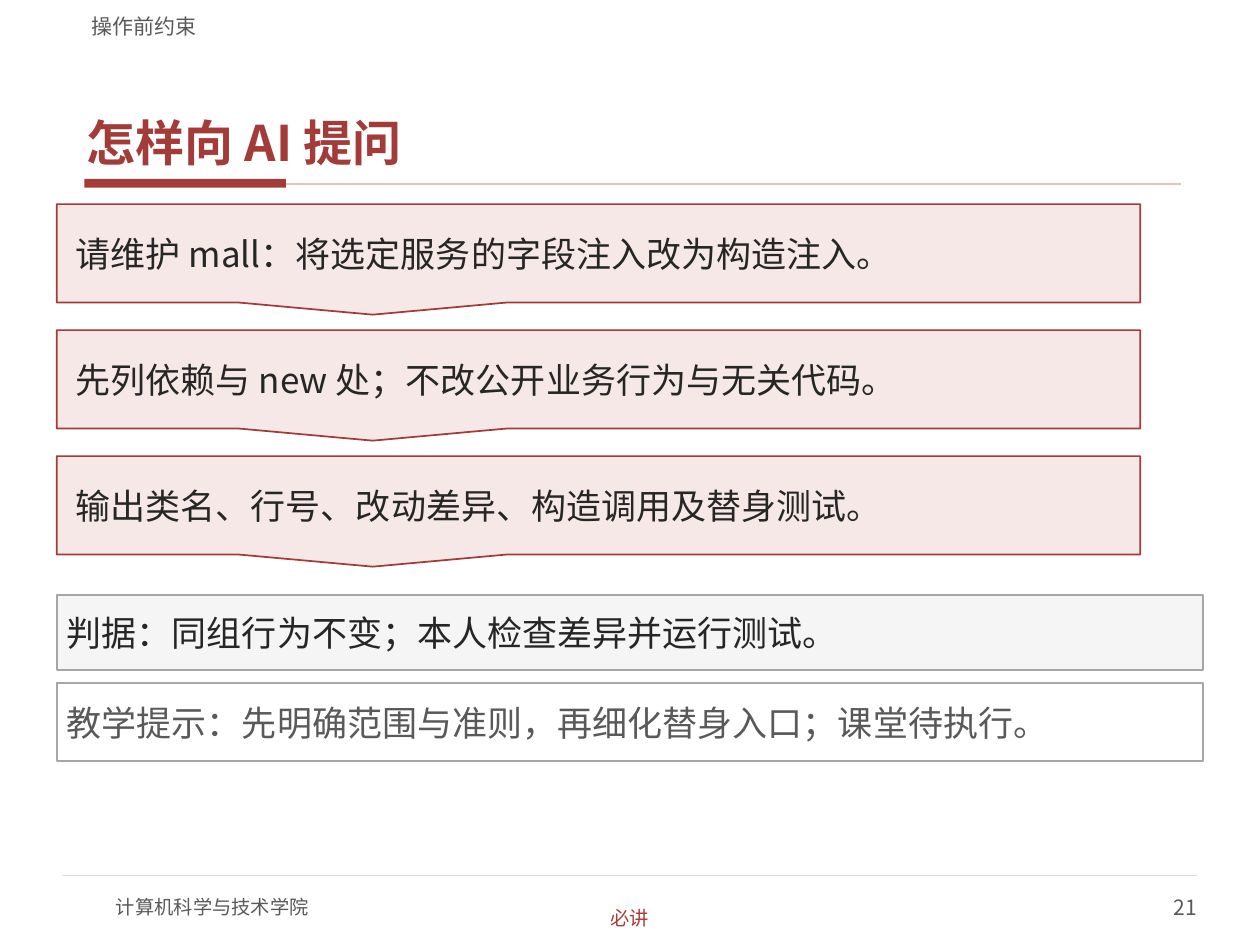
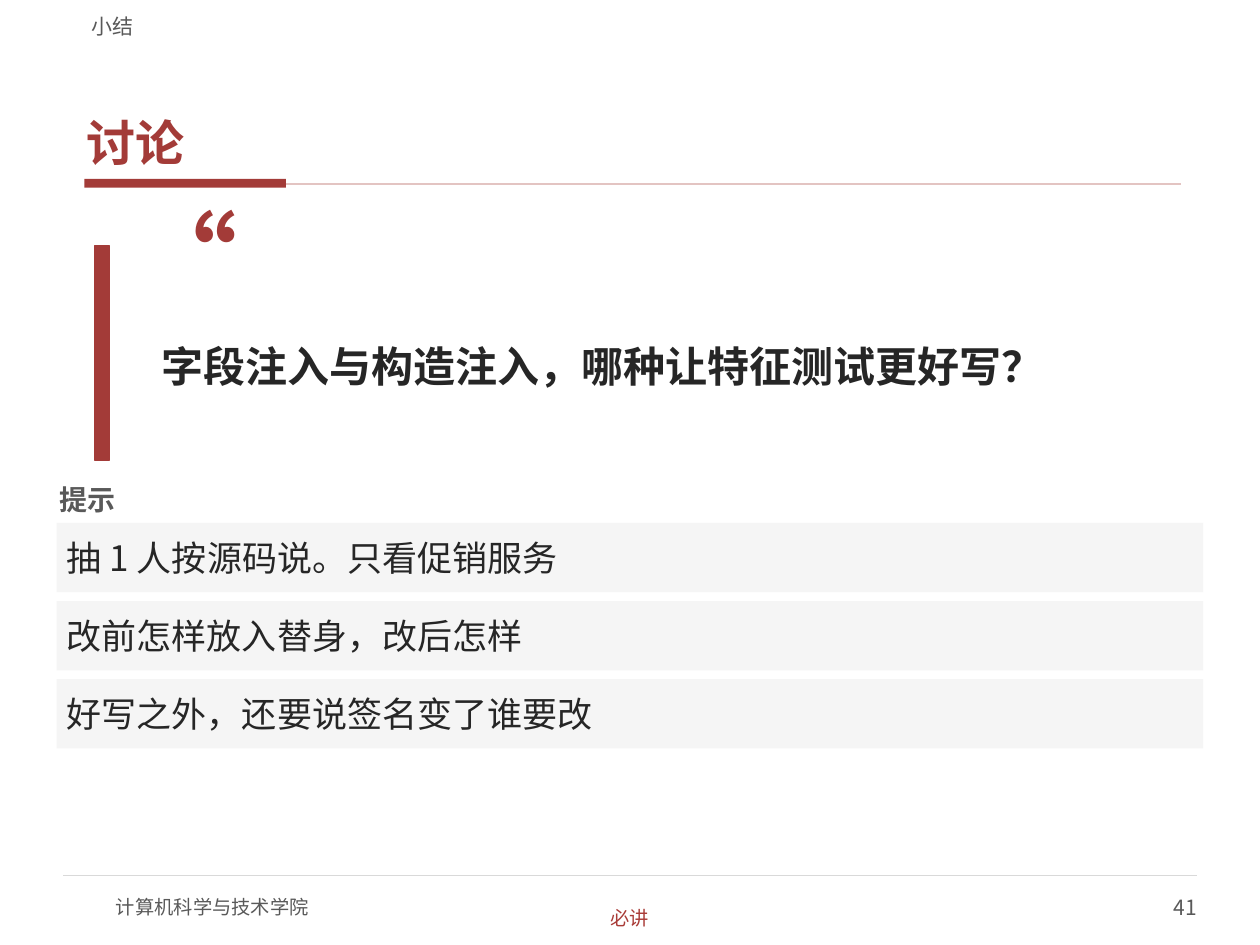
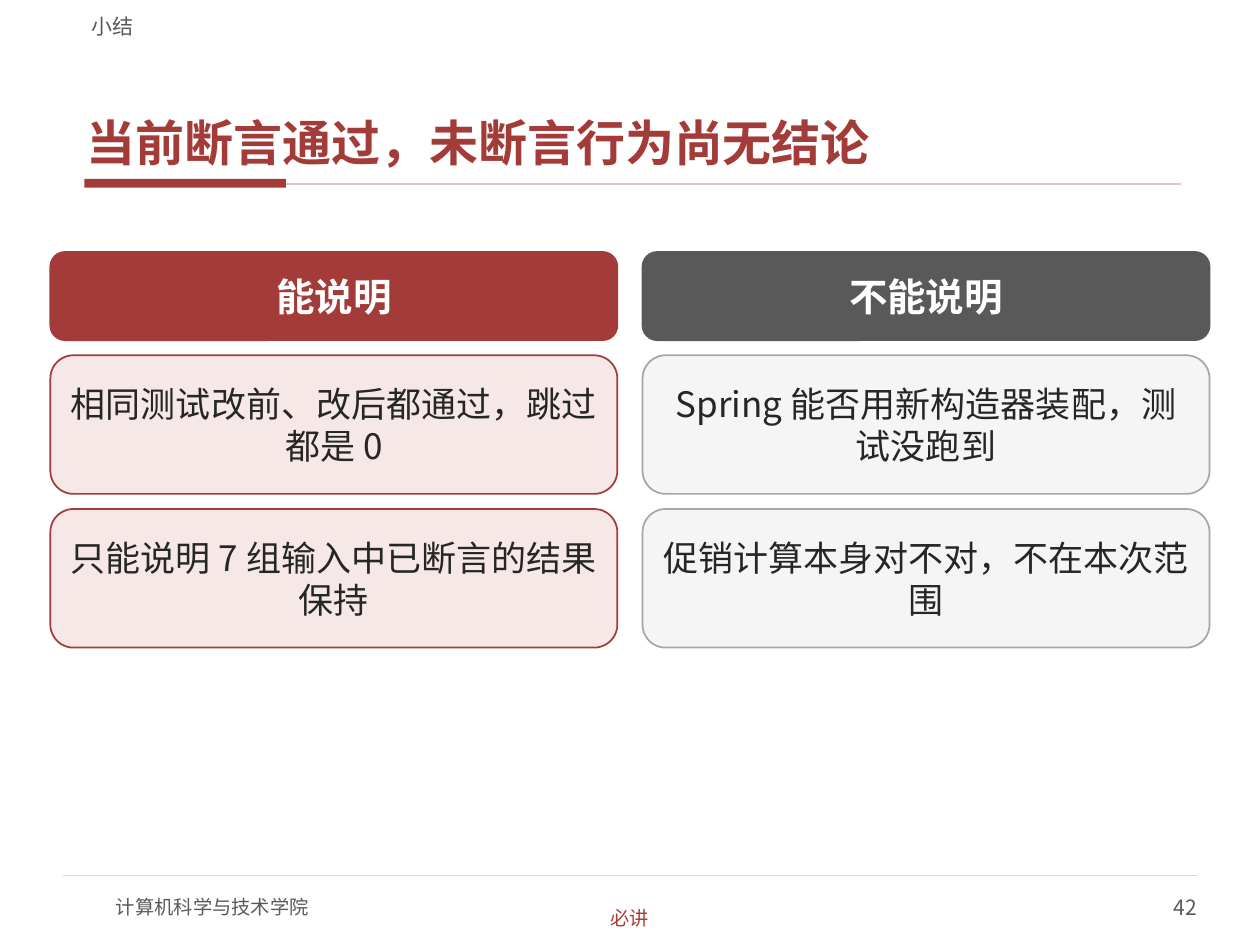
from dataclasses import dataclass

from lxml.etree import SubElement
from pptx import Presentation
from pptx.dml.color import RGBColor
from pptx.enum.shapes import MSO_CONNECTOR, MSO_SHAPE
from pptx.enum.text import MSO_ANCHOR, PP_ALIGN
from pptx.oxml.ns import qn
from pptx.util import Inches, Pt


@dataclass(frozen=True)
class Theme:
    font: str = "Noto Sans CJK SC"
    red: str = "A33B38"
    badge_red: str = "A93B37"
    pale_red: str = "F6E8E6"
    rule_red: str = "E3C4C2"
    ink: str = "262626"
    gray: str = "595959"
    border: str = "A6A6A6"
    rule_gray: str = "D9D9D9"
    panel: str = "F5F5F5"
    white: str = "FFFFFF"
    title_size: int = 28
    quote_mark_size: int = 60
    question_size: int = 24
    heading_size: int = 22
    body_size: int = 20
    hint_size: int = 16
    small_size: int = 12
    footer_size: int = 11


THEME = Theme()
BODY_LEFT, BODY_WIDTH = 0.45, 9.1
BODY_INSETS = (0.08, 0.04)
NO_INSETS = (0, 0)


def set_attributes(target, values):
    for name, value in values.items():
        setattr(target, name, value)


def write_text(shape, text, size, color=THEME.ink, bold=False, align=PP_ALIGN.LEFT,
               anchor=MSO_ANCHOR.MIDDLE, insets=BODY_INSETS, wrap=True, space_after=0):
    """Put one styled paragraph in a shape; insets are (horizontal, vertical) inches."""
    horizontal, vertical = map(Inches, insets)
    frame = shape.text_frame
    set_attributes(frame, {
        "margin_left": horizontal, "margin_right": horizontal,
        "margin_top": vertical, "margin_bottom": vertical,
        "vertical_anchor": anchor, "word_wrap": wrap,
    })
    paragraph = frame.paragraphs[0]
    set_attributes(paragraph, {"alignment": align, "space_after": Pt(space_after)})
    run = paragraph.add_run()
    run.text = text
    set_attributes(run.font, {"name": THEME.font, "size": Pt(size), "bold": bold})
    run.font.color.rgb = RGBColor.from_string(color)
    east_asian = SubElement(run._r.get_or_add_rPr(), qn("a:ea"))
    east_asian.set("typeface", THEME.font)


def add_label(slide, box, text, size, **text_format):
    write_text(slide.shapes.add_textbox(*map(Inches, box)), text, size, **text_format)


def add_panel(slide, kind, box, fill, line=None):
    shape = slide.shapes.add_shape(kind, *map(Inches, box))
    shape.shadow.inherit = False
    shape.fill.solid()
    shape.fill.fore_color.rgb = RGBColor.from_string(fill)
    if line:
        shape.line.color.rgb = RGBColor.from_string(line)
        shape.line.width = Pt(1)
    else:
        shape.line.fill.background()
    return shape


def add_rule(slide, left, right, top, color, width):
    rule = slide.shapes.add_connector(
        MSO_CONNECTOR.STRAIGHT, *map(Inches, (left, top, right, top)))
    rule.line.color.rgb = RGBColor.from_string(color)
    rule.line.width = Pt(width)
    SubElement(rule._element.spPr, qn("a:effectLst"))


def add_bar(slide, top, height, text, fill=THEME.panel, line=None, color=THEME.ink):
    bar = add_panel(slide, MSO_SHAPE.RECTANGLE,
                    (BODY_LEFT, top, BODY_WIDTH, height), fill, line)
    write_text(bar, text, THEME.body_size, color=color)


def add_framed_slide(presentation, section, title, number):
    """Add a slide with the shared title, rules and footer."""
    slide = presentation.slides.add_slide(presentation.slide_layouts[6])
    add_panel(slide, MSO_SHAPE.RECTANGLE, (0.67, 1.42, 1.6, 0.07), THEME.red)
    add_rule(slide, 2.27, 9.37, 1.46, THEME.rule_red, 1)
    add_rule(slide, 0.5, 9.5, 6.95, THEME.rule_gray, 0.75)
    add_label(slide, (0.92, 7, 4, 0.4), "计算机科学与技术学院", THEME.footer_size,
              color=THEME.gray, insets=NO_INSETS)
    add_label(slide, (7.5, 7, 2, 0.4), str(number), THEME.small_size,
              color=THEME.gray, align=PP_ALIGN.RIGHT, insets=NO_INSETS)
    add_label(slide, (0.63, 0.33, 8.75, 1.05), title, THEME.title_size, color=THEME.red,
              bold=True, anchor=MSO_ANCHOR.BOTTOM, insets=(0.06, 0.02), space_after=2)
    add_label(slide, (0.63, 0.04, 8.75, 0.27), section, THEME.small_size,
              color=THEME.gray, anchor=MSO_ANCHOR.BOTTOM, insets=(0.1, 0))
    add_label(slide, (4.4, 7.18, 1.2, 0.21), "必讲", THEME.footer_size,
              color=THEME.badge_red, align=PP_ALIGN.CENTER, insets=NO_INSETS, wrap=False)
    return slide


def add_prompt_callouts(slide, prompts):
    for index, prompt in enumerate(prompts):
        callout = add_panel(slide, MSO_SHAPE.RECTANGULAR_CALLOUT,
                            (BODY_LEFT, 1.62 + index, 8.6, 0.78),
                            THEME.pale_red, THEME.red)
        write_text(callout, prompt, THEME.body_size, insets=(0.15, 0.07))


def add_question(slide, question):
    add_panel(slide, MSO_SHAPE.RECTANGLE, (0.75, 1.95, 0.12, 1.7), THEME.red, THEME.red)
    add_label(slide, (1.05, 1.55, 1, 1), "“", THEME.quote_mark_size, color=THEME.red,
              bold=True, anchor=MSO_ANCHOR.TOP, insets=NO_INSETS)
    add_label(slide, (1.2, 2.15, 8.35, 1.5), question, THEME.question_size, bold=True)


def add_hints(slide, hints):
    add_label(slide, (BODY_LEFT, 3.8, 3, 0.32), "提示", THEME.hint_size,
              color=THEME.gray, bold=True, insets=(0.02, 0.01))
    for index, hint in enumerate(hints):
        add_bar(slide, 4.15 + 0.62 * index, 0.55, hint)


def add_card(slide, box, text, size, fill, line, **text_format):
    card = add_panel(slide, MSO_SHAPE.ROUNDED_RECTANGLE, box, fill, line)
    write_text(card, text, size, align=PP_ALIGN.CENTER, **text_format)


def add_comparison_column(slide, left, heading, statements, heading_fill, fill, line):
    width = 4.5
    add_card(slide, (left, 2, width, 0.7), heading, THEME.heading_size,
             heading_fill, heading_fill, color=THEME.white, bold=True)
    for index, statement in enumerate(statements):
        add_card(slide, (left, 2.82 + 1.22 * index, width, 1.1), statement,
                 THEME.body_size, fill, line)


def build_prompt_slide(presentation):
    slide = add_framed_slide(presentation, "操作前约束", "怎样向 AI 提问", 21)
    add_prompt_callouts(slide, (
        "请维护 mall：将选定服务的字段注入改为构造注入。",
        "先列依赖与 new 处；不改公开业务行为与无关代码。",
        "输出类名、行号、改动差异、构造调用及替身测试。",
    ))
    add_bar(slide, 4.72, 0.6, "判据：同组行为不变；本人检查差异并运行测试。",
            line=THEME.border)
    add_bar(slide, 5.42, 0.62, "教学提示：先明确范围与准则，再细化替身入口；课堂待执行。",
            fill=THEME.white, line=THEME.border, color=THEME.gray)


def build_discussion_slide(presentation):
    slide = add_framed_slide(presentation, "小结", "讨论", 41)
    add_question(slide, "字段注入与构造注入，哪种让特征测试更好写？")
    add_hints(slide, (
        "抽 1 人按源码说。只看促销服务",
        "改前怎样放入替身，改后怎样",
        "好写之外，还要说签名变了谁要改",
    ))


def build_conclusion_slide(presentation):
    slide = add_framed_slide(presentation, "小结", "当前断言通过，未断言行为尚无结论", 42)
    add_comparison_column(
        slide, 0.4, "能说明",
        ("相同测试改前、改后都通过，跳过都是 0", "只能说明 7 组输入中已断言的结果保持"),
        THEME.red, THEME.pale_red, THEME.red)
    add_comparison_column(
        slide, 5.1, "不能说明",
        ("Spring 能否用新构造器装配，测试没跑到", "促销计算本身对不对，不在本次范围"),
        THEME.gray, THEME.panel, THEME.border)


def main():
    presentation = Presentation()
    set_attributes(presentation, {"slide_width": Inches(10), "slide_height": Inches(7.5)})
    build_prompt_slide(presentation)
    build_discussion_slide(presentation)
    build_conclusion_slide(presentation)
    presentation.save("out.pptx")


if __name__ == "__main__":
    main()
